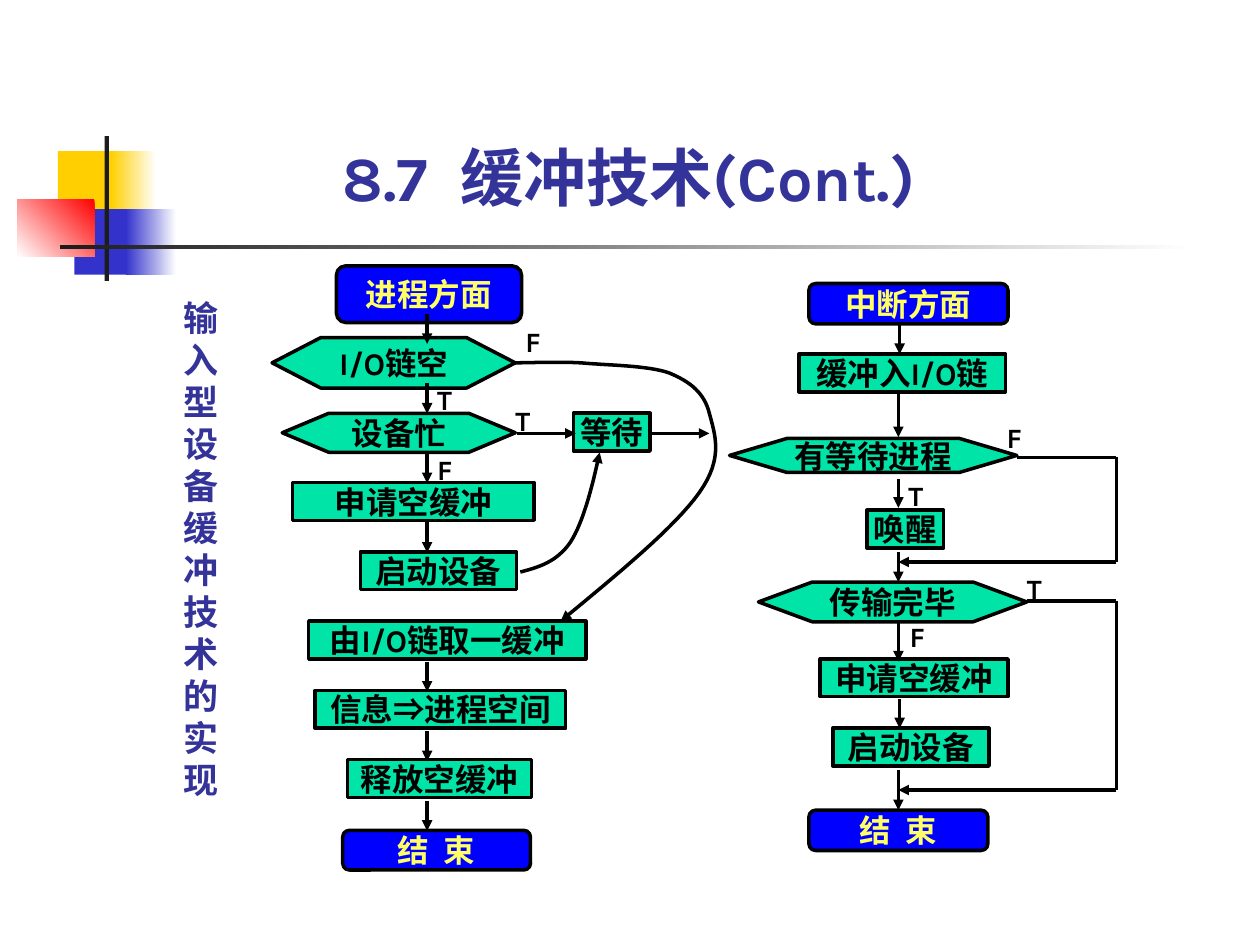
import itertools

import lxml.etree
import pptx
import pptx.dml.color
import pptx.enum.shapes
import pptx.enum.text
import pptx.oxml.ns
import pptx.util

COLORS = {
    "yellow": "FFCF01", "blue": "3333CC", "red": "FF0000", "white": "FFFFFF",
    "dark": "1C1C1C", "black": "000000", "heading": "333399",
    "terminal": "0000FF", "terminal_text": "FFFF66", "step": "00E4A8",
}
SHAPES = pptx.enum.shapes.MSO_SHAPE
ANCHOR = pptx.enum.text.MSO_ANCHOR
ALIGN = pptx.enum.text.PP_ALIGN
CELL = pptx.util.Inches(0.1)

LEFT_AXIS, RIGHT_AXIS, RETURN_COL = 33.9, 71.3, 88.6
ARROW_TOP, ARROW_PITCH, ARROW_LENGTH = 24.9, 5.52, 2.4
STEP_HEIGHT, STEP_PITCH = 3, 5.5

BARS = [
    (4.6, 12, 4.8, 5.2, "yellow", None, 0),
    (8.8, 12, 3.6, 5.2, "white", "yellow", 180),
    (5.9, 16.6, 4.6, 5.2, "blue", None, 0),
    (10, 16.6, 4, 5.2, "white", "blue", 180),
    (1.4, 15.8, 6.1, 4.6, "red", "white", 225),
    (8.3, 10.8, 0.35, 11.5, "dark", None, 0),
    (4.8, 19.45, 90, 0.35, "white", "dark", 180),
]
TERMINALS = [
    (26.7, 21.1, 14.7, 4.5, "进程方面"),
    (27.2, 65.9, 14.9, 3.15, "结  束"),
    (64.2, 22.5, 15.8, 3.2, "中断方面"),
    (64.2, 64.3, 14.2, 3.2, "结  束"),
]
DECISIONS = [
    (21.6, 26.8, 19.3, 4, "I/O链空"),
    (22.4, 32.8, 18.5, 3.1, "设备忙"),
    (57.9, 34.8, 22.8, 2.7, "有等待进程"),
    (60.2, 46.2, 21.3, 3.15, "传输完毕"),
]
PROCESS_STEPS = [
    (23.2, 19.2, ["申请空缓冲"]),
    (28.6, 12.4, ["启动设备"]),
    (24.5, 22, ["由I/O链取一缓冲"]),
    (25, 19.9, ["信息", "⇒", "进程空间"]),
    (27.6, 14.6, ["释放空缓冲"]),
]
OTHER_STEPS = [
    (45.5, 32.8, 6.1, "等待"),
    (63.4, 28.1, 16.4, "缓冲入I/O链"),
    (68.8, 40.5, 6.1, "唤醒"),
    (65.1, 52.3, 14.9, "申请空缓冲"),
    (66.1, 57.8, 12.4, "启动设备"),
]
INTERRUPT_ARROWS = [
    (71.4, 25.7, 28.1), (71.3, 31.2, 34.7), (71.3, 38, 40.3), (71.3, 43.8, 46.2),
    (71.3, 49.3, 52.5), (71.4, 55.5, 57.8), (71.3, 61.1, 64.3),
]
BRANCH_LABELS = [
    (40.9, 32, "T"), (34.7, 30.4, "T"), (34.7, 35.9, "F"), (41.7, 25.8, "F"),
    (72.1, 38, "T"), (79.9, 33.4, "F"), (72.2, 49.2, "F"), (81.5, 45.4, "T"),
]
EMPTY_CHAIN_CURVE = [
    (40.6, 28.8), (42.3, 28.8), (44, 28.7), (46.1, 28.8), (48.2, 29), (51.4, 29),
    (53.1, 29.6), (54.8, 30.3), (55.9, 31.2), (56.3, 32.8), (56.7, 34.4),
    (57.5, 36.3), (55.5, 39.1), (53.6, 41.8), (49, 45.6), (44.5, 49.3),
]
START_TO_WAIT_CURVE = [
    (41.3, 45.4), (42.8, 45), (44.2, 44.6), (45.3, 43),
    (46.3, 41.4), (47, 38.7), (47.6, 35.9),
]


def grid(*values):
    return [round(v * CELL) for v in values]


def rgb(name):
    return pptx.dml.color.RGBColor.from_string(COLORS[name])


def paint(fill, name):
    fill.solid()
    fill.fore_color.rgb = rgb(name)


def write(s, runs, size, color, anchor=ANCHOR.TOP, align=ALIGN.LEFT, wrap=True):
    tf = s.text_frame
    tf.margin_left = tf.margin_right = tf.margin_top = tf.margin_bottom = 0
    tf.word_wrap = wrap
    tf.vertical_anchor = anchor
    p = tf.paragraphs[0]
    p.alignment = align
    for text in runs:
        r = p.add_run()
        r.text = text
        r.font.name = "Arial" if text == "⇒" else "Karla"
        r.font.size = pptx.util.Pt(size)
        r.font.bold = True
        r.font.color.rgb = rgb(color)


def add_text(sp, box, text, size, color, anchor=ANCHOR.TOP):
    write(sp.add_textbox(*grid(*box)), [text], size, color, anchor)


def add_bar(sp, box, color, end_color, angle):
    s = sp.add_shape(SHAPES.RECTANGLE, *grid(*box))
    s.shadow.inherit = False
    s.line.fill.background()
    if end_color is None:
        paint(s.fill, color)
        return
    s.fill.gradient()
    s.fill.gradient_angle = angle
    for stop, name in zip(s.fill.gradient_stops, (color, end_color)):
        stop.color.rgb = rgb(name)


def outline(s, arrow=False):
    s.line.width = pptx.util.Pt(2)
    paint(s.line.fill, "black")
    if arrow:
        ln = s.element.spPr.find(pptx.oxml.ns.qn("a:ln"))
        lxml.etree.SubElement(ln, pptx.oxml.ns.qn("a:tailEnd"), type="triangle")


def add_node(sp, kind, box, runs, fill="step", color="black", anchor=ANCHOR.MIDDLE):
    s = sp.add_shape(kind, *grid(*box))
    s.shadow.inherit = False
    paint(s.fill, fill)
    outline(s)
    write(s, runs, 18, color, anchor, ALIGN.CENTER, False)


def add_step(sp, col, row, width, runs):
    add_node(sp, SHAPES.RECTANGLE, (col, row, width, STEP_HEIGHT), runs, anchor=ANCHOR.TOP)


def add_route(sp, *points):
    for start, end in itertools.pairwise(points):
        s = sp.add_connector(pptx.enum.shapes.MSO_CONNECTOR.STRAIGHT, *grid(*start, *end))
        outline(s, arrow=end == points[-1])
        lxml.etree.SubElement(s.element.spPr, pptx.oxml.ns.qn("a:effectLst"))


def bezier(a, b, c, d, t):
    u = 1 - t
    return tuple(u**3 * i + 3 * u * u * t * j + 3 * u * t * t * k + t**3 * m
                 for i, j, k, m in zip(a, b, c, d))


def add_curve(sp, controls, steps=16):
    points = [bezier(*controls[i:i + 4], n / steps)
              for i in range(0, len(controls) - 1, 3) for n in range(1, steps + 1)]
    builder = sp.build_freeform(*grid(*controls[0]))
    builder.add_line_segments([grid(*point) for point in points], close=False)
    s = builder.convert_to_shape()
    s.shadow.inherit = False
    s.fill.background()
    outline(s, arrow=True)


def add_nodes(sp):
    for *box, text in TERMINALS:
        add_node(sp, SHAPES.FLOWCHART_ALTERNATE_PROCESS, box, [text],
                 "terminal", "terminal_text")
    for *box, text in DECISIONS:
        add_node(sp, SHAPES.FLOWCHART_PREPARATION, box, [text])
    for i, (col, width, runs) in enumerate(PROCESS_STEPS):
        add_step(sp, col, 38.3 + i * STEP_PITCH, width, runs)
    for col, row, width, text in OTHER_STEPS:
        add_step(sp, col, row, width, [text])


def add_flows(sp):
    for i in (0, 1, 2, 3, 5, 6, 7):
        top = ARROW_TOP + i * ARROW_PITCH
        add_route(sp, (LEFT_AXIS, top), (LEFT_AXIS, top + ARROW_LENGTH))
    for col, top, bottom in INTERRUPT_ARROWS:
        add_route(sp, (col, top), (col, bottom))
    for col in (41, 51.6):
        add_route(sp, (col, 34.4), (col + 4.7, 34.4))
    for col, top, bottom in ((80.7, 36.3, 44.6), (81.5, 47.7, 62.7)):
        add_route(sp, (col, top), (RETURN_COL, top), (RETURN_COL, bottom), (RIGHT_AXIS, bottom))
    add_curve(sp, EMPTY_CHAIN_CURVE)
    add_curve(sp, START_TO_WAIT_CURVE)


def main():
    prs = pptx.Presentation()
    prs.slide_width, prs.slide_height = grid(100, 75)
    sp = prs.slides.add_slide(prs.slide_layouts[6]).shapes
    for *box, color, end_color, angle in BARS:
        add_bar(sp, box, color, end_color, angle)
    add_text(sp, (27.2, 11, 49.6, 6), "8.7  缓冲技术(Cont.)", 36, "heading", ANCHOR.BOTTOM)
    add_text(sp, (14.6, 23.5, 3.9, 40), "输入型设备缓冲技术的实现", 20, "heading")
    add_nodes(sp)
    add_flows(sp)
    for col, row, text in BRANCH_LABELS:
        add_text(sp, (col, row, 1.6, 2.7), text, 16, "black")
    prs.save("out.pptx")


if __name__ == "__main__":
    main()
